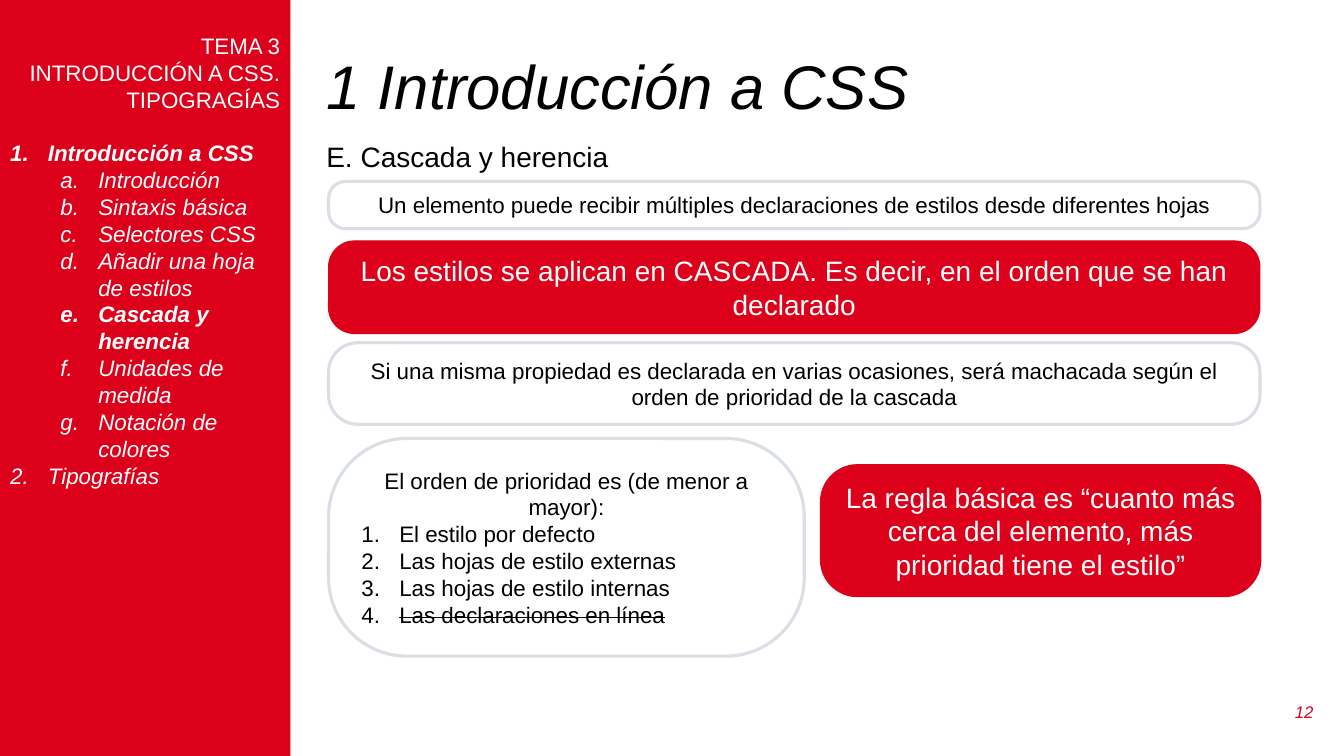
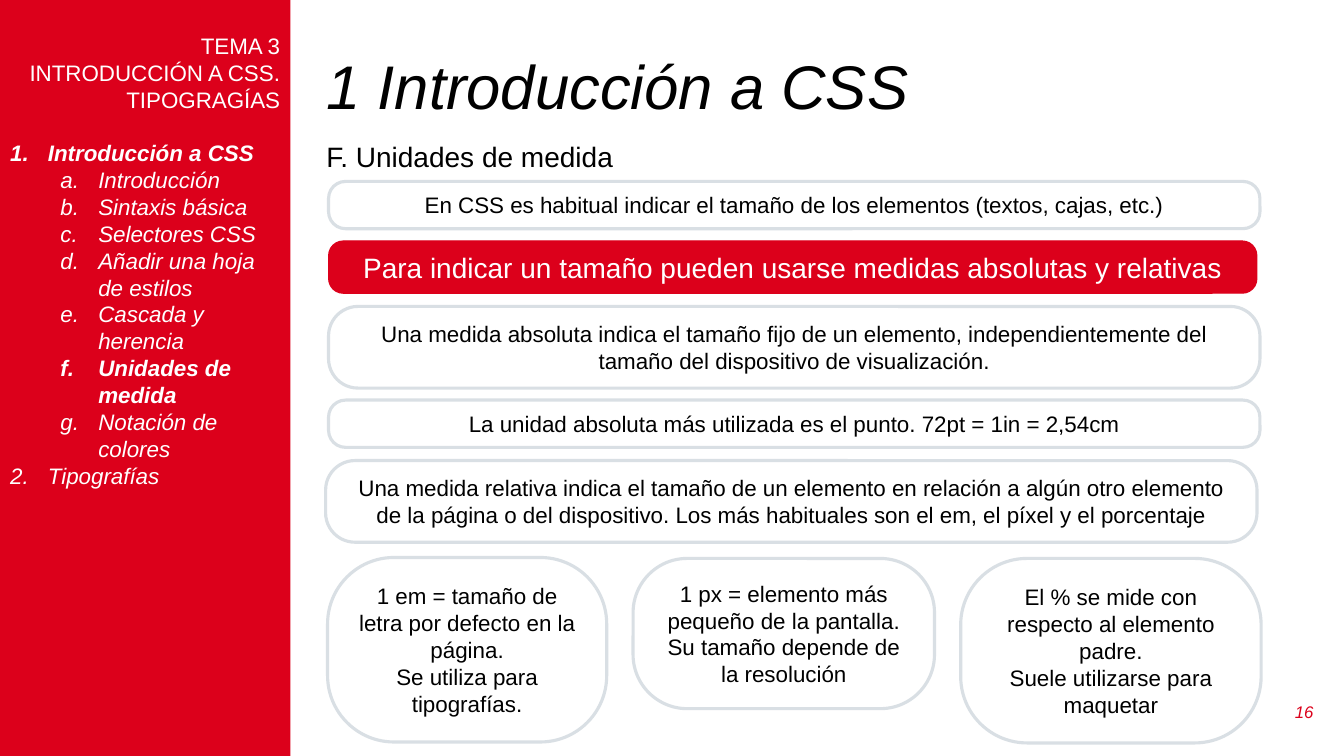
import pptx
import pptx.dml.color
import pptx.enum.shapes
import pptx.enum.text
import pptx.oxml.ns
import pptx.util
from lxml import etree

Pt = pptx.util.Pt
Align = pptx.enum.text.PP_ALIGN
Anchor = pptx.enum.text.MSO_ANCHOR
qn = pptx.oxml.ns.qn

RED, GREY, BLACK, WHITE = "DC001B", "D9DFE4", "000000", "FFFFFF"
LEFT, WIDTH = 234.7, 665.3
ONE_LINE, TWO_LINES = 33.8, 58.3
CHAPTERS = [
    ("Introducción a CSS", ["Introducción", "Sintaxis básica", "Selectores CSS",
                            "Añadir una hoja de estilos", "Cascada y herencia",
                            "Unidades de medida", "Notación de colores"]),
    ("Tipografías", []),
]


def rgb(value):
    return pptx.dml.color.RGBColor.from_string(value)


class Deck:
    """Holds the course style and the slide being built."""

    def __init__(self):
        self.prs = pptx.Presentation()
        self.prs.slide_width, self.prs.slide_height = Pt(960), Pt(540)
        self.s = None

    def place(self, sp, x, y, w, h):
        sp.left, sp.top, sp.width, sp.height = Pt(x), Pt(y), Pt(w), Pt(h)

    def frame(self, sp, anchor):
        tf = sp.text_frame
        tf.word_wrap = True
        tf.auto_size = pptx.enum.text.MSO_AUTO_SIZE.NONE
        tf.vertical_anchor = anchor
        tf.margin_left = tf.margin_right = Pt(7.2)
        tf.margin_top = tf.margin_bottom = Pt(3.6)
        return tf

    def para(self, tf, text, size, color, align=Align.LEFT, bold=False, italic=False,
             strike=False, spacing=None, before=0, number=None, indent=0, level=0):
        p = tf.paragraphs[0]
        if p.runs:
            p = tf.add_paragraph()
        p.alignment, p.level = align, level
        p.line_spacing = spacing or Pt(size * 1.2)
        p.space_before, p.space_after = Pt(before), Pt(0)
        r = p.add_run()
        r.text = text
        f = r.font
        f.name, f.size, f.bold, f.italic = "Arial", Pt(size), bold, italic
        f.color.rgb = rgb(color)
        if strike:
            r._r.get_or_add_rPr().set("strike", "sngStrike")
        self.bullet(p, number, indent, color)

    def bullet(self, p, number, indent, color):
        pPr = p._p.get_or_add_pPr()
        pPr.set("marL", str(int(Pt(indent))))
        pPr.set("indent", str(int(Pt(-27 if number else 0))))
        if number:
            clr = etree.SubElement(pPr, qn("a:buClr"))
            etree.SubElement(clr, qn("a:srgbClr")).set("val", color)
            etree.SubElement(pPr, qn("a:buFont")).set("typeface", "Arial")
            etree.SubElement(pPr, qn("a:buAutoNum")).set("type", number)
        else:
            etree.SubElement(pPr, qn("a:buNone"))

    def slide(self, title, subtitle, number, current):
        self.s = self.prs.slides.add_slide(self.prs.slide_layouts[1])
        sp = self.s.shapes.title
        self.place(sp, 226, 36, 719.3, 56.2)
        self.para(self.frame(sp, Anchor.MIDDLE), title, 44, BLACK, italic=True, spacing=0.9)
        self.sidebar(title.split(" ", 1)[1], current)
        self.label(subtitle, 226, 95.8, 537.1, 31.7, 20, BLACK)
        self.label(number, 908.6, 493.9, 36.7, 28.8, 12, RED, Anchor.MIDDLE,
                   align=Align.RIGHT, italic=True)

    def sidebar(self, chapter, current):
        sp = self.s.placeholders[1]
        self.place(sp, 0, 0, 207.4, 540)
        sp.fill.solid()
        sp.fill.fore_color.rgb = rgb(RED)
        tf = self.frame(sp, Anchor.TOP)
        tf.margin_top = Pt(22.8)
        for text in ("TEMA 3", "INTRODUCCIÓN A CSS. TIPOGRAGÍAS"):
            self.para(tf, text, 16, WHITE, Align.RIGHT)
        for i, (name, sections) in enumerate(CHAPTERS):
            self.para(tf, name, 16, WHITE, bold=name == chapter, italic=True,
                      before=0 if i else 19.2, number="arabicPeriod", indent=27)
            for section in sections:
                self.para(tf, section, 16, WHITE, bold=section == current, italic=True,
                          number="alphaLcPeriod", indent=63, level=1)

    def label(self, text, x, y, w, h, size, color, anchor=Anchor.TOP, **style):
        sp = self.s.shapes.add_textbox(Pt(x), Pt(y), Pt(w), Pt(h))
        self.para(self.frame(sp, anchor), text, size, color, **style)

    def rounded(self, x, y, w, h, radius, line, weight):
        sp = self.s.shapes.add_shape(pptx.enum.shapes.MSO_SHAPE.ROUNDED_RECTANGLE,
                                     Pt(x), Pt(y), Pt(w), Pt(h))
        sp.adjustments[0] = radius
        sp.shadow.inherit = False
        sp.line.color.rgb = rgb(line)
        sp.line.width = Pt(weight)
        return sp

    def key(self, text, y, h, x=LEFT, w=WIDTH):
        sp = self.rounded(x, y, w, h, 0.28, RED, 0.75)
        sp.fill.solid()
        sp.fill.fore_color.rgb = rgb(RED)
        self.para(self.frame(sp, Anchor.MIDDLE), text, 20, WHITE, Align.CENTER)

    def note(self, lines, y, h, x=LEFT, w=WIDTH):
        sp = self.rounded(x, y, w, h, 0.36, GREY, 2.25)
        sp.fill.background()
        tf = self.frame(sp, Anchor.MIDDLE)
        for text in lines:
            self.para(tf, text, 16, BLACK, Align.CENTER)
        return tf

    def steps(self, tf, items, struck):
        for text in items:
            self.para(tf, text, 16, BLACK, strike=text == struck,
                      number="arabicPeriod", indent=27)


def cascade(deck):
    deck.slide("1 Introducción a CSS", "E. Cascada y herencia", "12", "Cascada y herencia")
    deck.note(["Un elemento puede recibir múltiples declaraciones de estilos desde "
               "diferentes hojas"], 129.6, ONE_LINE)
    deck.key("Los estilos se aplican en CASCADA. Es decir, en el orden que se han declarado",
             172.1, 66.2)
    deck.note(["Si una misma propiedad es declarada en varias ocasiones, será machacada "
               "según el orden de prioridad de la cascada"], 244.8, TWO_LINES)
    tf = deck.note(["El orden de prioridad es (de menor a mayor):"], 313.2, 155.5, w=339.8)
    deck.steps(tf, ["El estilo por defecto", "Las hojas de estilo externas",
                    "Las hojas de estilo internas", "Las declaraciones en línea"],
               struck="Las declaraciones en línea")
    deck.key("La regla básica es “cuanto más cerca del elemento, más prioridad tiene el estilo”",
             331.9, 94.3, 586.1, 314.6)


def units(deck):
    deck.slide("1 Introducción a CSS", "F. Unidades de medida", "16", "Unidades de medida")
    deck.note(["En CSS es habitual indicar el tamaño de los elementos (textos, cajas, etc.)"],
              129.6, ONE_LINE)
    deck.key("Para indicar un tamaño pueden usarse medidas absolutas y relativas",
             172.1, 37.4, w=663.1)
    deck.note(["Una medida absoluta indica el tamaño fijo de un elemento, independientemente "
               "del tamaño del dispositivo de visualización."], 218.9, TWO_LINES)
    deck.note(["La unidad absoluta más utilizada es el punto. 72pt = 1in = 2,54cm"],
              285.8, ONE_LINE)
    deck.note(["Una medida relativa indica el tamaño de un elemento en relación a algún otro "
               "elemento de la página o del dispositivo. Los más habituales son el em, el "
               "píxel y el porcentaje"], 329, TWO_LINES, x=232.6)
    for x, y, w, h, lines in [
        (234, 398.2, 199.4, 131.8, ["1 em = tamaño de letra por defecto en la página.",
                                    "Se utiliza para tipografías."]),
        (452.2, 398.9, 215.3, 107.3, ["1 px = elemento más pequeño de la pantalla.",
                                      "Su tamaño depende de la resolución"]),
        (686.2, 398.9, 214.6, 131.8, ["El % se mide con respecto al elemento padre.",
                                      "Suele utilizarse para maquetar"]),
    ]:
        deck.note(lines, y, h, x, w)


def main():
    deck = Deck()
    cascade(deck)
    units(deck)
    deck.prs.save("out.pptx")


if __name__ == "__main__":
    main()
